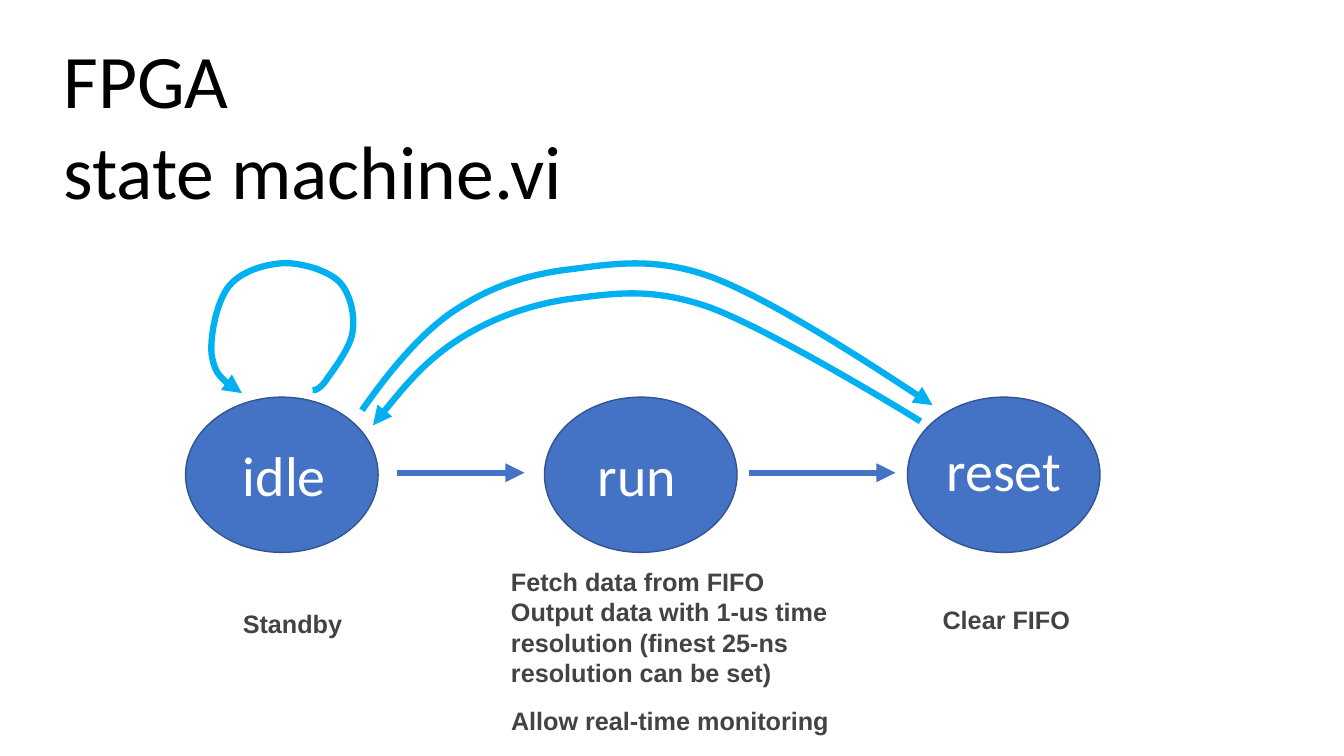
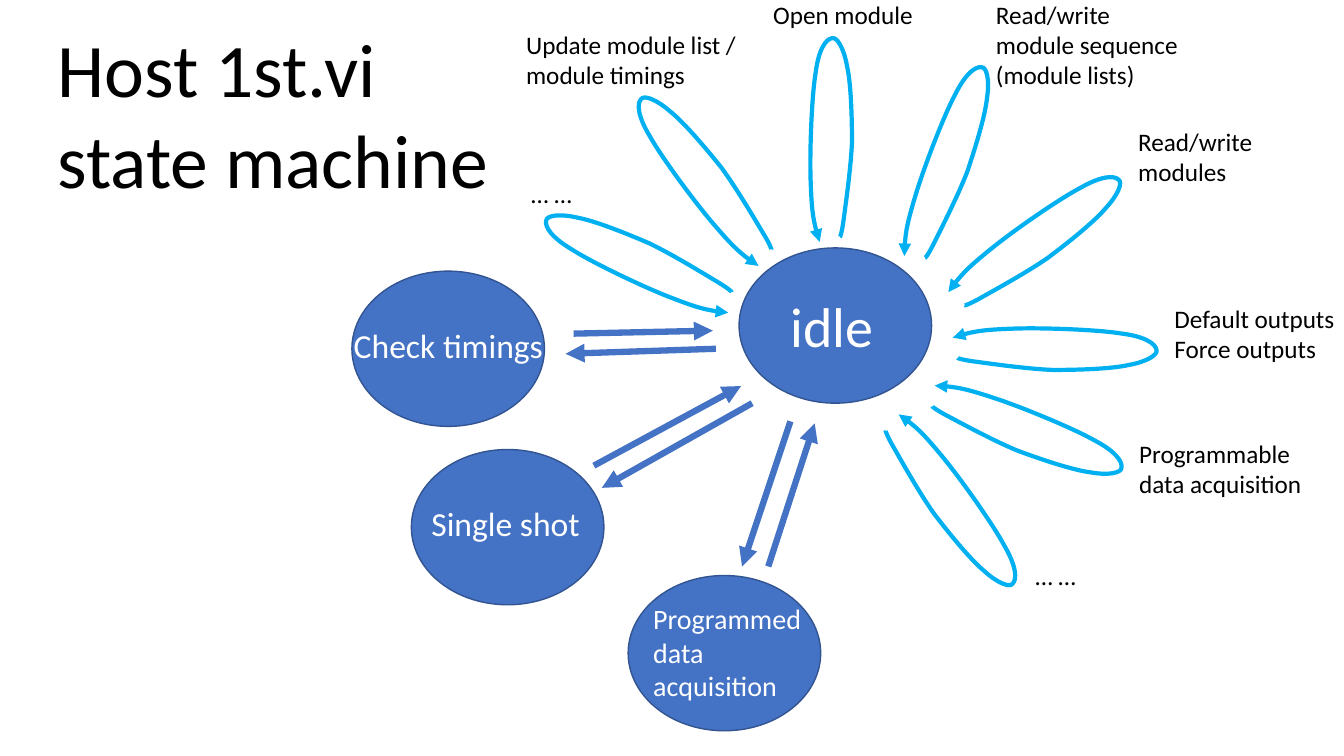
from math import cos, radians, sin

from lxml import etree
from pptx import Presentation
from pptx.dml.color import RGBColor
from pptx.enum.shapes import MSO_CONNECTOR, MSO_SHAPE
from pptx.enum.text import MSO_ANCHOR, PP_ALIGN
from pptx.oxml.ns import qn
from pptx.util import Pt

PX = 9144  # 100 px to the inch
ELLIPSE, STRAIGHT = MSO_SHAPE.OVAL, MSO_CONNECTOR.STRAIGHT
LEFT, TOP = PP_ALIGN.LEFT, MSO_ANCHOR.TOP
BLUE = RGBColor(0x44, 0x72, 0xC4)
DARK_BLUE = RGBColor(0x32, 0x54, 0x91)
CYAN = RGBColor(0x00, 0xB0, 0xF0)
GRAY = RGBColor(0x43, 0x43, 0x43)
BLACK = RGBColor(0, 0, 0)
WHITE = RGBColor(255, 255, 255)
NODE_SIZE = (191, 154)
TITLE_SIZE = (1205, 192)

# Loop outline around its own centre: a start point, then three points per curve
LOOP = [
    (9, 96),
    (9, 97), (11, 93), (13, 77),
    (15, 62), (20, 27), (21, 2),
    (21, -24), (20, -57), (16, -74),
    (13, -91), (6, -103), (1, -101),
    (-5, -100), (-12, -90), (-15, -67),
    (-19, -43), (-21, 12), (-20, 40),
    (-19, 68), (-17, 84), (-11, 101),
]

# nodes: left, top, text, text box, size
# arrows: from x, from y, to x, to y
# labels: text, box
FPGA = {
    "title": ("FPGA\nstate machine.vi", 53, 28),
    "nodes": [
        (184, 394, "idle", (231, 432, 133, 77), 40),
        (540, 394, "run", (583, 432, 133, 77), 40),
        (900, 394, "reset", (929, 427, 148, 77), 40),
    ],
    "arrows": [(394, 469, 520, 469), (743, 469, 888, 469)],
    "curves": [
        [(310, 387),
         (312, 388), (319, 385), (325, 375),
         (332, 365), (349, 343), (350, 327),
         (352, 311), (347, 290), (336, 279),
         (324, 268), (300, 261), (282, 261),
         (263, 262), (239, 269), (227, 284),
         (215, 299), (208, 334), (210, 352),
         (213, 369), (222, 380), (240, 390)],
        [(359, 407),
         (385, 370), (415, 333), (448, 310),
         (482, 287), (516, 274), (559, 268),
         (602, 263), (646, 253), (706, 275),
         (767, 298), (895, 382), (925, 402)],
        [(913, 418),
         (884, 400), (761, 326), (704, 305),
         (647, 285), (611, 291), (570, 296),
         (529, 301), (489, 315), (456, 336),
         (423, 357), (396, 389), (370, 422)],
    ],
    "curve_width": 4.5,
    "labels": [
        ("Standby", (231, 599, 130, 40)),
        ("Fetch data from FIFO\nOutput data with 1-us time resolution "
         "(finest 25-ns resolution can be set)", (497, 557, 403, 131)),
        ("Clear FIFO", (925, 595, 162, 40)),
        ("Allow real-time monitoring", (497, 695, 371, 40)),
    ],
    "label_style": {"font": "Arial", "color": GRAY, "bold": True},
}

# loops: centre x, centre y, clockwise angle
HOST = {
    "title": ("Host 1st.vi\nstate machine", 47, 17),
    "nodes": [
        (733, 246, "idle", (774, 284, 133, 77), 40),
        (408, 446, "Single shot", (418, 494, 170, 50), 24),
        (623, 571, "Programmed data acquisition", (638, 592, 170, 111), 20),
        (349, 269, "Check timings", (341, 317, 220, 50), 24),
    ],
    "arrows": [
        (746, 400, 597, 484), (589, 462, 735, 383),
        (784, 418, 736, 562), (762, 562, 808, 420),
        (710, 346, 561, 351), (569, 331, 707, 328),
    ],
    "loops": [
        (824, 139, 0), (940, 162, 18.8), (1028, 238, 53.1), (1046, 346, 90),
        (1018, 428, 110.3), (944, 498, 142.6), (634, 260, 293.4), (698, 178, 321.4),
    ],
    "curve_width": 3,
    "labels": [
        ("Open module", (757, -6, 167, 40)),
        ("Read/write module sequence (module lists)", (978, -6, 216, 101)),
        ("Read/write modules", (1119, 120, 141, 71)),
        ("Default outputs\nForce outputs", (1155, 296, 189, 71)),
        ("Programmable data acquisition", (1120, 430, 189, 71)),
        ("Update module list / module timings", (512, 24, 253, 71)),
        ("… …", (517, 172, 68, 40)),
        ("… …", (1017, 551, 75, 40)),
    ],
    "label_style": {"font": "Calibri", "color": BLACK},
}


def emu(*lengths):
    return [round(v * PX) for v in lengths]


def write(tf, text, size, color, font="Calibri", bold=False):
    tf.word_wrap = True
    tf.vertical_anchor = TOP
    tf.text = text
    for p in tf.paragraphs:
        p.alignment = LEFT
        p.line_spacing = 1.0
        p.space_before = Pt(0)
        for r in p.runs:
            r.font.size, r.font.name, r.font.bold = Pt(size), font, bold
            r.font.color.rgb = color


def add_title(s, text, left, top):
    title = s.shapes.title
    title.left, title.top, title.width, title.height = emu(left, top, *TITLE_SIZE)
    write(title.text_frame, text, 54, BLACK)


def add_label(shapes, text, box, size, color, **style):
    tb = shapes.add_textbox(*emu(*box))
    write(tb.text_frame, text, size, color, **style)


def add_node(s, left, top, text, box, size):
    group = s.shapes.add_group_shape()
    sp = group.shapes.add_shape(ELLIPSE, *emu(left, top, *NODE_SIZE))
    sp.shadow.inherit = False
    sp.fill.solid()
    sp.fill.fore_color.rgb = BLUE
    sp.line.color.rgb = DARK_BLUE
    sp.line.width = Pt(1)
    add_label(group.shapes, text, box, size, WHITE)


def style_arrow(sp, color, width):
    sp.line.color.rgb = color
    sp.line.width = Pt(width)
    ln = sp._element.find(".//" + qn("a:ln"))
    etree.SubElement(ln, qn("a:tailEnd"), type="triangle")


def add_arrow(s, *ends):
    line = s.shapes.add_connector(STRAIGHT, *emu(*ends))
    style_arrow(line, BLUE, 4.5)
    etree.SubElement(line._element.spPr, qn("a:effectLst"))


def add_curve(s, points, width):
    """Draw an arrow through a start point and groups of three Bezier points."""
    start, *rest = [emu(*point) for point in points]
    builder = s.shapes.build_freeform(*start, scale=1)
    builder.add_line_segments(rest, close=False)
    sp = builder.convert_to_shape()
    segments = list(sp._element.iter(qn("a:lnTo")))
    for i in range(0, len(segments), 3):
        curve = etree.Element(qn("a:cubicBezTo"))
        segments[i].addprevious(curve)
        for segment in segments[i:i + 3]:
            curve.append(segment[0])
            segment.getparent().remove(segment)
    sp.shadow.inherit = False
    sp.fill.background()
    style_arrow(sp, CYAN, width)


def place_loop(cx, cy, angle):
    c, n = cos(radians(angle)), sin(radians(angle))
    return [(cx + x * c - y * n, cy + x * n + y * c) for x, y in LOOP]


def add_state_machine(prs, machine):
    s = prs.slides.add_slide(prs.slide_layouts[5])
    add_title(s, *machine["title"])
    for node in machine["nodes"]:
        add_node(s, *node)
    for arrow in machine["arrows"]:
        add_arrow(s, *arrow)
    loops = [place_loop(*loop) for loop in machine.get("loops", [])]
    for points in machine.get("curves", []) + loops:
        add_curve(s, points, machine["curve_width"])
    for text, box in machine["labels"]:
        add_label(s.shapes, text, box, 18, **machine["label_style"])


def main():
    prs = Presentation()
    prs.slide_width, prs.slide_height = emu(1333, 750)
    for machine in (FPGA, HOST):
        add_state_machine(prs, machine)
    prs.save("out.pptx")


if __name__ == "__main__":
    main()
